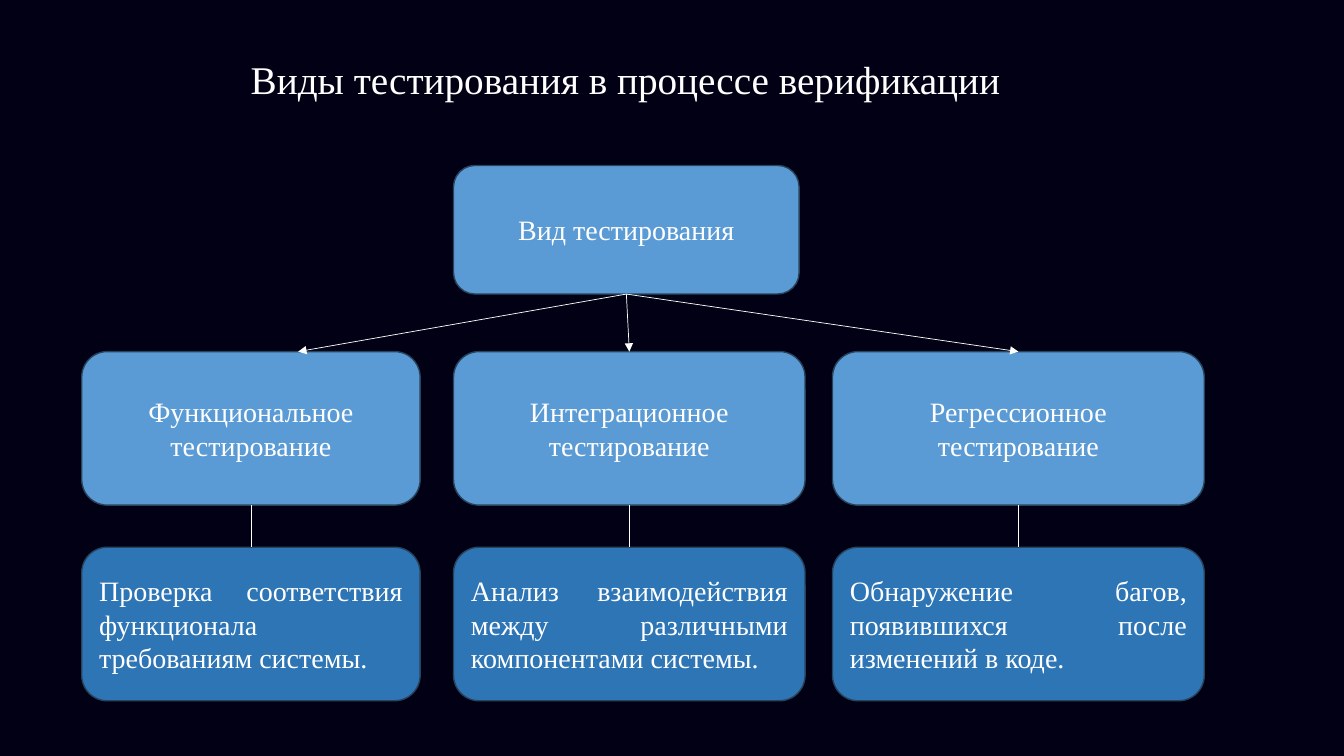
from pptx import Presentation
from pptx.dml.color import RGBColor
from pptx.enum.shapes import MSO_CONNECTOR, MSO_SHAPE
from pptx.enum.text import MSO_ANCHOR, MSO_AUTO_SIZE, PP_ALIGN
from pptx.oxml.ns import qn
from pptx.util import Cm, Pt
from lxml import etree

ROUNDED = MSO_SHAPE.ROUNDED_RECTANGLE
STRAIGHT = MSO_CONNECTOR.STRAIGHT
MIDDLE = MSO_ANCHOR.MIDDLE
GROW = MSO_AUTO_SIZE.SHAPE_TO_FIT_TEXT
LEFT, CENTER, JUSTIFY = PP_ALIGN.LEFT, PP_ALIGN.CENTER, PP_ALIGN.JUSTIFY

TITLE = "Виды тестирования в процессе верификации"
ROOT = "Вид тестирования"
KINDS = [
    {"name": "Функциональное тестирование",
     "purpose": "Проверка соответствия функционала требованиям системы.",
     "left": 2.06, "width": 8.53, "arrow_shift": 1.19},
    {"name": "Интеграционное тестирование",
     "purpose": "Анализ взаимодействия между различными компонентами системы.",
     "left": 11.43, "width": 8.86, "arrow_shift": 0},
    {"name": "Регрессионное тестирование",
     "purpose": "Обнаружение багов, появившихся после изменений в коде.",
     "left": 20.98, "width": 9.37, "arrow_shift": 0},
]
FONT = "Times New Roman"
NIGHT, WHITE, OUTLINE = "020015", "FFFFFF", "28445D"
LIGHT_BLUE, DEEP_BLUE = "5B9BD5", "2E75B6"

ROOT_LEFT, ROOT_TOP, ROOT_WIDTH, ROOT_HEIGHT = 11.43, 4.17, 8.71, 3.24
NAME_TOP, PURPOSE_TOP, ROW_HEIGHT = 8.86, 13.79, 3.87


def color(value):
    return RGBColor.from_string(value)


def write(frame, text, size, align):
    paragraph = frame.paragraphs[0]
    paragraph.alignment = align
    run = paragraph.add_run()
    run.text = text
    run.font.name = FONT
    run.font.size = Pt(size)
    run.font.color.rgb = color(WHITE)


def add_box(slide, text, left, top, width, height, fill, align):
    box = slide.shapes.add_shape(ROUNDED, Cm(left), Cm(top), Cm(width), Cm(height))
    box.shadow.inherit = False
    box.fill.solid()
    box.fill.fore_color.rgb = color(fill)
    box.line.color.rgb = color(OUTLINE)
    box.line.width = Pt(1)
    box.text_frame.word_wrap = True
    box.text_frame.vertical_anchor = MIDDLE
    write(box.text_frame, text, 20, align)


def add_link(slide, x1, y1, x2, y2, arrow=False):
    link = slide.shapes.add_connector(STRAIGHT, Cm(x1), Cm(y1), Cm(x2), Cm(y2))
    link.line.color.rgb = color(WHITE)
    link.line.width = Pt(0.5)
    if arrow:
        etree.SubElement(link.line._get_or_add_ln(), qn("a:tailEnd"), type="triangle")
    etree.SubElement(link._element.spPr, qn("a:effectLst"))


def main():
    """Build the slide with the tree of testing kinds."""
    deck = Presentation()
    deck.slide_width, deck.slide_height = Cm(33.87), Cm(19.05)
    slide = deck.slides.add_slide(deck.slide_layouts[6])
    slide.background.fill.solid()
    slide.background.fill.fore_color.rgb = color(NIGHT)

    title = slide.shapes.add_textbox(Cm(6.07), Cm(1.27), Cm(19.61), Cm(1.45))
    title.text_frame.word_wrap = False
    title.text_frame.auto_size = GROW
    write(title.text_frame, TITLE, 28, LEFT)

    add_box(slide, ROOT, ROOT_LEFT, ROOT_TOP, ROOT_WIDTH, ROOT_HEIGHT,
            LIGHT_BLUE, CENTER)
    root_center = ROOT_LEFT + ROOT_WIDTH / 2
    root_bottom = ROOT_TOP + ROOT_HEIGHT
    for kind in KINDS:
        left, width = kind["left"], kind["width"]
        center = left + width / 2
        add_box(slide, kind["name"], left, NAME_TOP, width, ROW_HEIGHT,
                LIGHT_BLUE, CENTER)
        add_box(slide, kind["purpose"], left, PURPOSE_TOP, width, ROW_HEIGHT,
                DEEP_BLUE, JUSTIFY)
        add_link(slide, root_center, root_bottom,
                 center + kind["arrow_shift"], NAME_TOP, arrow=True)
        add_link(slide, center, NAME_TOP + ROW_HEIGHT, center, PURPOSE_TOP)

    deck.save("out.pptx")


if __name__ == "__main__":
    main()
